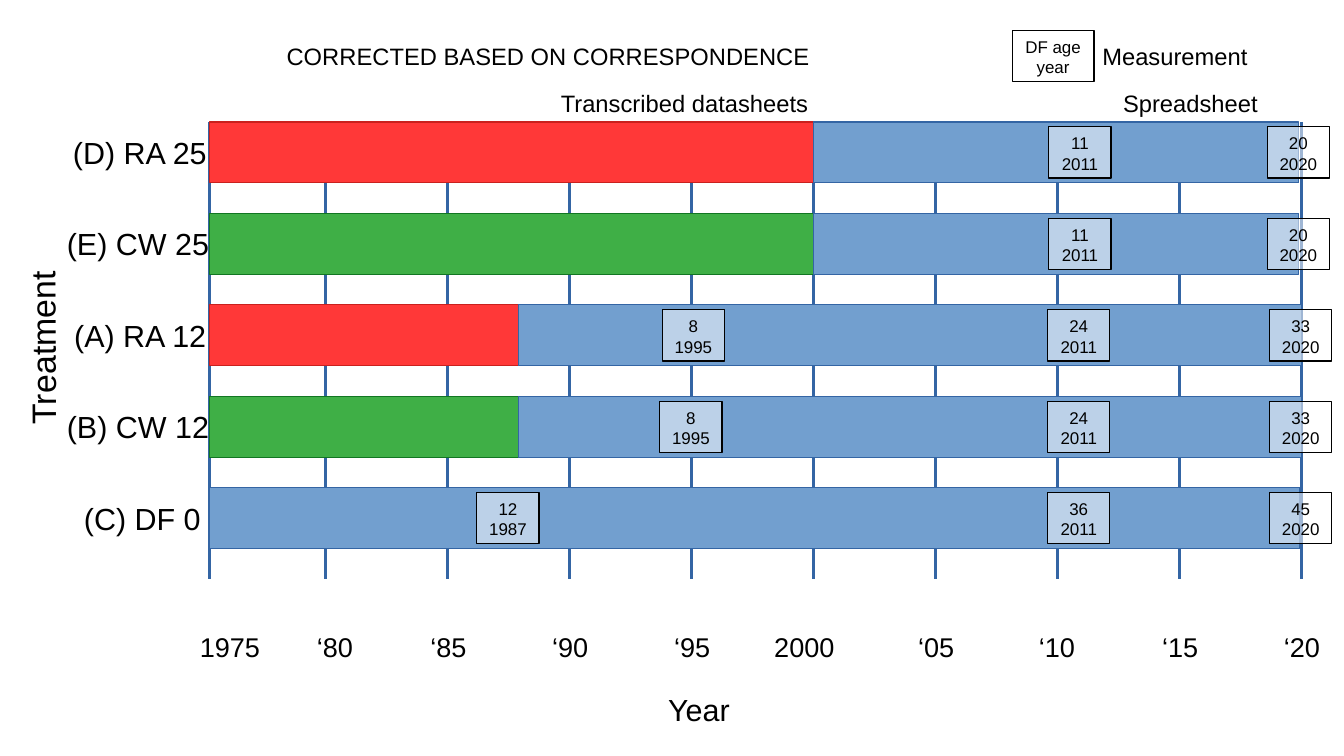
import dataclasses

import lxml.etree
import pptx
import pptx.dml.color
import pptx.enum.shapes
import pptx.enum.text
import pptx.oxml.ns
import pptx.util

Inches = pptx.util.Inches
Align = pptx.enum.text.PP_ALIGN


@dataclasses.dataclass(frozen=True)
class Theme:
    """Colours as (fill, line) pairs and type sizes in points."""

    font: str = "Arial"
    text: str = "000000"
    white: str = "FFFFFF"
    grid: str = "3465A4"
    blue: tuple = ("729FCF", "3465A4")
    red: tuple = ("FF3838", "C9211E")
    green: tuple = ("3FAF46", "127622")
    badge: tuple = ("FFFFFF", "000000")
    badge_opacity: int = 53
    badge_size: int = 10
    caption_size: int = 14
    tick_size: int = 16
    label_size: int = 18
    axis_size: int = 20


THEME = Theme()
ROW_PITCH = 0.75
BAR_HEIGHT = 0.5
YEAR_PITCH = 1
LABEL_HEIGHT = 0.38

TICKS = [("1975", -0.18, 0.75), ("‘80", -0.17, 0.53), ("‘85", -0.24, 0.53),
         ("‘90", -0.24, 0.53), ("‘95", -0.24, 0.53), ("2000", -0.42, 0.75),
         ("‘05", -0.24, 0.53), ("‘10", -0.25, 0.58), ("‘15", -0.24, 0.53),
         ("‘20", -0.24, 0.53)]

TREATMENTS = [
    ("(D) RA 25", -1.22, THEME.red, 4.95, 8.93,
     [("11", "2011", 6.88), ("20", "2020", 8.67)]),
    ("(E) CW 25", -1.27, THEME.green, 4.95, 8.93,
     [("11", "2011", 6.88), ("20", "2020", 8.67)]),
    ("(A) RA 12", -1.21, THEME.red, 2.53, 8.95,
     [("8", "1995", 3.71), ("24", "2011", 6.87), ("33", "2020", 8.69)]),
    ("(B) CW 12", -1.27, THEME.green, 2.53, 8.95,
     [("8", "1995", 3.69), ("24", "2011", 6.87), ("33", "2020", 8.69)]),
    ("(C) DF 0", -1.13, None, 0, 8.94,
     [("12", "1987", 2.19), ("36", "2011", 6.87), ("45", "2020", 8.69)]),
]


def colour(value):
    """Turn a hex string into a colour."""
    return pptx.dml.color.RGBColor.from_string(value)


def write(shape, lines, size, align=Align.LEFT, wrap=True):
    """Write lines into a shape, one paragraph each."""
    frame = shape.text_frame
    frame.word_wrap = wrap
    frame.auto_size = pptx.enum.text.MSO_AUTO_SIZE.NONE
    frame.vertical_anchor = pptx.enum.text.MSO_ANCHOR.TOP
    frame.text = "\n".join(lines)
    for paragraph in frame.paragraphs:
        paragraph.alignment = align
        paragraph.font.name = THEME.font
        paragraph.font.size = pptx.util.Pt(size)
        paragraph.font.color.rgb = colour(THEME.text)


def add_label(slide, text, box, size):
    """Add a line of text in a box."""
    label = slide.shapes.add_textbox(*map(Inches, box))
    write(label, [text], size)
    return label


def add_bar(slide, box, colours):
    """Add a rectangle with a hairline outline."""
    bar = slide.shapes.add_shape(
        pptx.enum.shapes.MSO_SHAPE.RECTANGLE, *map(Inches, box))
    bar.shadow.inherit = False
    fill, line = colours
    bar.fill.solid()
    bar.fill.fore_color.rgb = colour(fill)
    bar.line.color.rgb = colour(line)
    bar.line.width = 0
    return bar


def add_badge(slide, lines, box):
    """Add a see-through box holding an age and a year."""
    badge = add_bar(slide, box, THEME.badge)
    qn = pptx.oxml.ns.qn
    fill = badge.element.spPr.find(qn("a:solidFill")).find(qn("a:srgbClr"))
    lxml.etree.SubElement(fill, qn("a:alpha"), val=str(THEME.badge_opacity * 1000))
    write(badge, lines, THEME.badge_size, Align.CENTER, wrap=False)


def add_grid_line(slide, x, top, height):
    """Add a vertical hairline."""
    line = slide.shapes.add_connector(
        pptx.enum.shapes.MSO_CONNECTOR.STRAIGHT,
        *map(Inches, (x, top, x, top + height)))
    line.line.color.rgb = colour(THEME.grid)
    line.line.width = 0
    lxml.etree.SubElement(line.element.spPr, pptx.oxml.ns.qn("a:effectLst"))


def add_year_axis(slide, left, top, width, height):
    """Add grid lines, year labels and the axis name."""
    right = left + width
    for index, (text, shift, label_width) in enumerate(TICKS):
        x = max(left, right - YEAR_PITCH * (len(TICKS) - 1 - index))
        add_grid_line(slide, x, top, height)
        add_label(slide, text, (x + shift, top + height + 0.37, label_width, LABEL_HEIGHT),
                  THEME.tick_size)
    add_label(slide, "Year", (left + 3.66, top + height + 0.87, 0.87, LABEL_HEIGHT),
              THEME.label_size)


def add_treatments(slide, left, top):
    """Add one row per treatment: its name, bars and badges."""
    for row, (name, shift, colours, change, end, badges) in enumerate(TREATMENTS):
        y = top + row * ROW_PITCH
        add_label(slide, name, (left + shift, y + 0.05, 1.5, LABEL_HEIGHT), THEME.label_size)
        if colours:
            add_bar(slide, (left, y, change, BAR_HEIGHT), colours)
        add_bar(slide, (left + change, y, end - change, BAR_HEIGHT), THEME.blue)
        for age, year, offset in badges:
            add_badge(slide, [age, year], (left + offset, y + 0.04, 0.51, 0.42))
    axis_name = add_label(slide, "Treatment", (left - 2.15, top + 1.61, 1.53, 0.41),
                          THEME.axis_size)
    axis_name.rotation = 269.7


def add_legend(slide, left, top):
    """Add the key to the badges."""
    add_badge(slide, ["DF age", "year"], (left, top, 0.67, 0.42))
    add_label(slide, "Measurement", (left + 0.64, top + 0.04, 1.53, LABEL_HEIGHT),
              THEME.caption_size)


def add_heading(slide, left, top, width, height):
    """Place the title and the source captions below it."""
    title = slide.shapes.title
    title.left, title.top, title.width, title.height = map(
        Inches, (left, top, width, height))
    write(title, ["CORRECTED BASED ON CORRESPONDENCE"], THEME.caption_size)
    for text, shift, label_width in [("Transcribed datasheets", 2.25, 2.5),
                                     ("Spreadsheet", 6.86, 1.39)]:
        add_label(slide, text, (left + shift, top + 0.39, label_width, LABEL_HEIGHT),
                  THEME.caption_size)


def main():
    """Build the treatment timeline and save it."""
    presentation = pptx.Presentation()
    presentation.slide_width = Inches(11.02)
    presentation.slide_height = Inches(6.2)
    slide = presentation.slides.add_slide(presentation.slide_layouts[5])
    slide.background.fill.solid()
    slide.background.fill.fore_color.rgb = colour(THEME.white)
    add_year_axis(slide, 1.72, 1, 8.95, 3.75)
    add_treatments(slide, 1.72, 1)
    add_legend(slide, 8.3, 0.25)
    add_heading(slide, 2.25, 0.29, 4.75, LABEL_HEIGHT)
    presentation.save("out.pptx")


if __name__ == "__main__":
    main()
